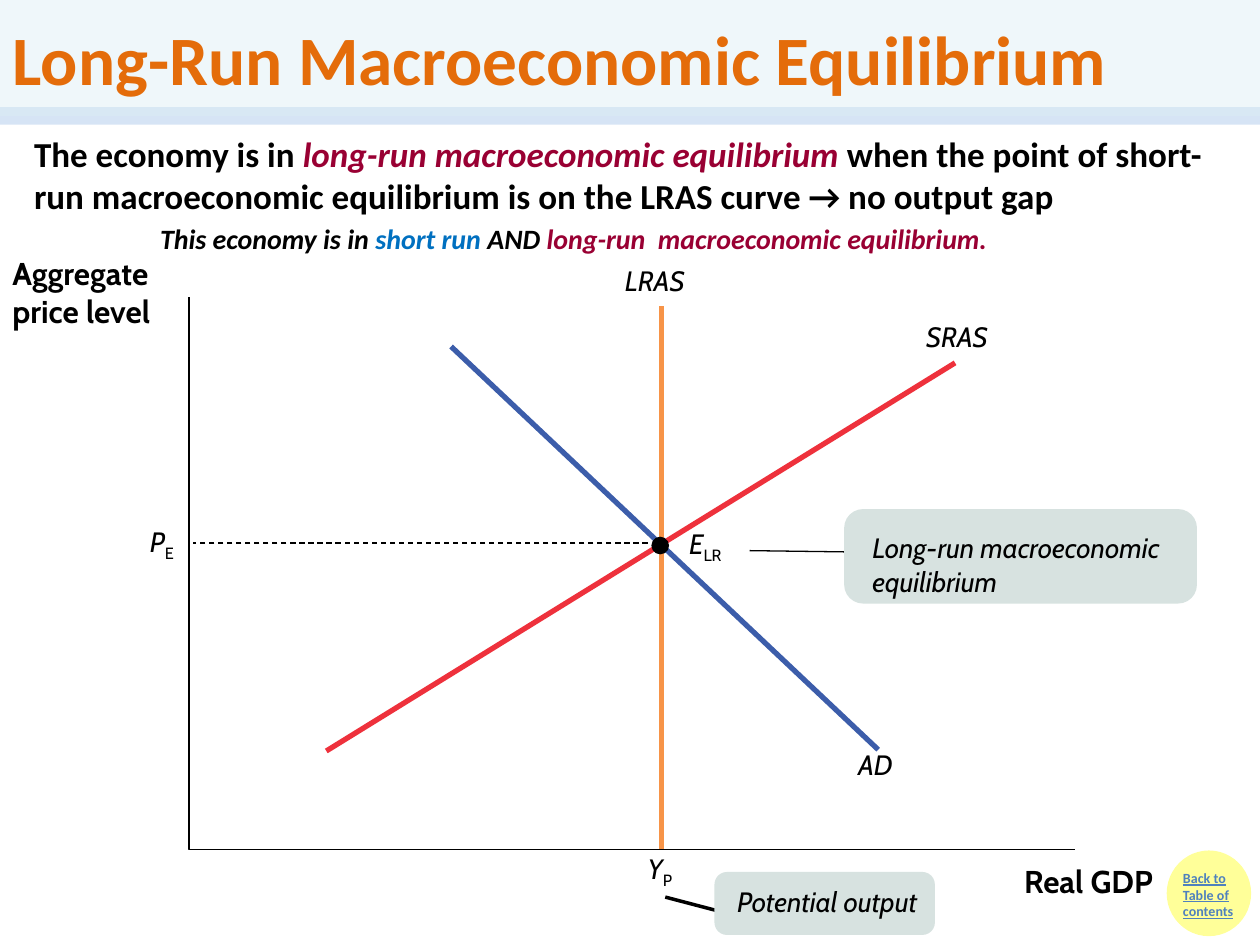
from lxml.etree import SubElement
from pptx import Presentation
from pptx.dml.color import RGBColor
from pptx.enum.dml import MSO_LINE
from pptx.enum.shapes import MSO_CONNECTOR, MSO_SHAPE
from pptx.enum.text import MSO_ANCHOR, MSO_AUTO_SIZE, PP_ALIGN
from pptx.oxml.ns import qn
from pptx.util import Inches, Pt

W, H = Inches(10), Inches(7.5)
BLACK = RGBColor(0, 0, 0)
TITLE_FILL = RGBColor(0xDB, 0xEE, 0xF4)
ORANGE = RGBColor(0xE4, 0x6C, 0x0A)
BAND = RGBColor(0xC6, 0xD9, 0xF1)
YELLOW = RGBColor(0xFF, 0xFF, 0x99)
LINK = RGBColor(0x4F, 0x81, 0xBD)
SAGE = RGBColor(0xD7, 0xE2, 0xE0)
LRAS = RGBColor(0xF7, 0x94, 0x48)
AD = RGBColor(0x3C, 0x5D, 0xAA)
SRAS = RGBColor(0xEE, 0x31, 0x3C)
MAROON = RGBColor(0x99, 0x00, 0x33)
BLUE = RGBColor(0x00, 0x70, 0xC0)


def spot(x, y):
    """Turn percentages of the slide's width and height into lengths."""
    return round(W * x / 100), round(H * y / 100)


def set_alpha(fill_owner, percent):
    """Make the solid colour inside an element partly transparent."""
    clr = next(fill_owner.iter(qn("a:srgbClr")))
    SubElement(clr, qn("a:alpha"), val=str(percent * 1000))


def add_run(p, text, size, color=BLACK, name="Cabin", bold=False, italic=False):
    """Append a formatted run to a paragraph."""
    r = p.add_run()
    r.text = text
    r.font.size, r.font.name = Pt(size), name
    r.font.bold, r.font.italic = bold, italic
    r.font.color.rgb = color
    return r


def add_line(slide, start, end, color=BLACK, width=0.75):
    """Draw a straight line without a shadow."""
    c = slide.shapes.add_connector(MSO_CONNECTOR.STRAIGHT, *spot(*start), *spot(*end))
    c.line.color.rgb, c.line.width = color, Pt(width)
    SubElement(c._element.spPr, qn("a:effectLst"))
    return c


def add_filled(slide, kind, box, color):
    """Draw a flat preset shape without an outline."""
    sp = slide.shapes.add_shape(kind, *spot(*box[:2]), *spot(*box[2:]))
    sp.shadow.inherit = False
    sp.fill.solid()
    sp.fill.fore_color.rgb = color
    sp.line.fill.background()
    return sp


def add_text(slide, box, text, size, **style):
    """Add a wrapped text box."""
    sp = slide.shapes.add_textbox(*spot(*box[:2]), *spot(*box[2:]))
    sp.text_frame.word_wrap = True
    r = add_run(sp.text_frame.paragraphs[0], text, size, **style)
    return sp, r


def add_label(slide, x, y, width, text, sub=""):
    """Add an italic curve or point label with an optional subscript."""
    sp, _ = add_text(slide, (x, y, width, 3.6), text, 16, italic=True)
    tf = sp.text_frame
    tf.word_wrap, tf.auto_size = False, MSO_AUTO_SIZE.SHAPE_TO_FIT_TEXT
    tf.margin_left = tf.margin_right = tf.margin_top = tf.margin_bottom = 0
    if sub:
        r = add_run(tf.paragraphs[0], sub, 16)
        r._r.get_or_add_rPr().set("baseline", "-25000")


def add_callout(slide, box, text, left, top):
    """Add a rounded callout with its text inset from the top left."""
    sp = add_filled(slide, MSO_SHAPE.ROUNDED_RECTANGLE, box, SAGE)
    sp.adjustments[0] = 0.2
    tf = sp.text_frame
    tf.word_wrap, tf.vertical_anchor = True, MSO_ANCHOR.TOP
    tf.margin_left, tf.margin_top = Inches(left), Inches(top)
    tf.margin_right = tf.margin_bottom = 0
    p = tf.paragraphs[0]
    p.alignment = PP_ALIGN.LEFT
    add_run(p, text, 16, italic=True)


def add_axes(slide):
    """Draw both axes as one open outline."""
    points = [spot(85.3, 89.87), spot(15, 89.87), spot(15, 31.47)]
    fb = slide.shapes.build_freeform(*points[0])
    fb.add_line_segments(points[1:], close=False)
    sp = fb.convert_to_shape()
    sp.shadow.inherit = False
    sp.fill.background()
    sp.line.color.rgb, sp.line.width = BLACK, Pt(0)


def place(sp, box):
    """Move and resize a placeholder."""
    sp.left, sp.top = spot(*box[:2])
    sp.width, sp.height = spot(*box[2:])


def fill_title(slide):
    """Format the title over its coloured band."""
    band = add_line(slide, (0, 12.27), (100, 12.27), BAND, 10)
    set_alpha(band._element.spPr, 71)
    slide.shapes._spTree.insert(2, band._element)
    sp = slide.shapes.title
    place(sp, (0, 0, 100, 12.27))
    sp.fill.solid()
    sp.fill.fore_color.rgb = TITLE_FILL
    set_alpha(sp._element.spPr, 44)
    tf = sp.text_frame
    tf.auto_size, tf.vertical_anchor = MSO_AUTO_SIZE.NONE, MSO_ANCHOR.MIDDLE
    p = tf.paragraphs[0]
    p.alignment = PP_ALIGN.LEFT
    add_run(p, "Long-Run Macroeconomic Equilibrium", 39.6, ORANGE, "Calibri", True)


def fill_body(slide):
    """Write the definition and the remark under it."""
    sp = slide.placeholders[1]
    place(sp, (1.7, 13.33, 98.3, 14.4))
    tf = sp.text_frame
    tf.auto_size = MSO_AUTO_SIZE.NONE
    lines = [
        (0, 20, 0, [
            ("The economy is in ", BLACK, False),
            ("long-run macroeconomic equilibrium", MAROON, True),
            (" when the point of short-run macroeconomic equilibrium is on the "
             "LRAS curve → no output gap", BLACK, False)]),
        (2, 16, 3.2, [
            ("This economy is in ", BLACK, True),
            ("short run ", BLUE, True),
            ("AND ", BLACK, True),
            ("long-run  macroeconomic equilibrium.", MAROON, True)]),
    ]
    for i, (level, size, before, runs) in enumerate(lines):
        p = tf.add_paragraph() if i else tf.paragraphs[0]
        p.level, p.space_before = level, Pt(before)
        pPr = p._p.get_or_add_pPr()
        pPr.set("marL", str(Inches(level / 2)))
        pPr.set("indent", "0")
        SubElement(pPr, qn("a:buNone"))
        for text, color, italic in runs:
            add_run(p, text, size, color, "Calibri", True, italic)


def add_badge(slide):
    """Add the round contents badge."""
    add_filled(slide, MSO_SHAPE.OVAL, (92.6, 90, 6.7, 9.07), YELLOW)
    _, r = add_text(slide, (92.9, 91.33, 7.2, 8.93), "Back to Table of contents", 8,
                    color=LINK, name="Calibri", bold=True)
    r.font.underline = True


def add_graph(slide):
    """Draw the axes, curves, equilibrium point and labels."""
    add_line(slide, (60.8, 97.73), (52.8, 94.93), width=0)
    add_line(slide, (52.5, 32.4), (52.5, 89.87), LRAS, 3)
    add_axes(slide)
    add_line(slide, (69.7, 79.33), (35.8, 36.67), AD, 3)
    add_line(slide, (25.9, 79.47), (75.8, 38.4), SRAS, 3)
    guide = add_line(slide, (51.4, 57.47), (15.3, 57.47))
    guide.line.dash_style = MSO_LINE.DASH
    add_line(slide, (59.5, 58.27), (67, 58.4))
    add_filled(slide, MSO_SHAPE.OVAL, (51.7, 56.8, 1.4, 1.87), BLACK)
    for label in [(51.4, 90.13, 2.5, "Y", "P"), (11.9, 55.47, 2.5, "P", "E"),
                  (54.7, 55.73, 3.4, "E", "LR"), (73.5, 33.87, 6.1, "SRAS"),
                  (49.6, 27.87, 5.8, "LRAS"), (68.1, 79.07, 3.1, "AD")]:
        add_label(slide, *label)
    add_text(slide, (80.3, 90.53, 15.8, 5.33), "Real GDP", 18, bold=True)
    add_text(slide, (0, 26.27, 17.2, 9.33), "Aggregate price level", 18, bold=True)
    add_callout(slide, (67, 53.87, 28, 10), "Long-run macroeconomic equilibrium", 0.18, 0.13)
    add_callout(slide, (56.7, 92.27, 17.5, 6.67), "Potential output", 0.15, 0.07)


def main():
    """Build the slide and save it."""
    prs = Presentation()
    prs.slide_width, prs.slide_height = W, H
    slide = prs.slides.add_slide(prs.slide_layouts[1])
    fill_title(slide)
    fill_body(slide)
    add_badge(slide)
    add_graph(slide)
    prs.save("out.pptx")


if __name__ == "__main__":
    main()
